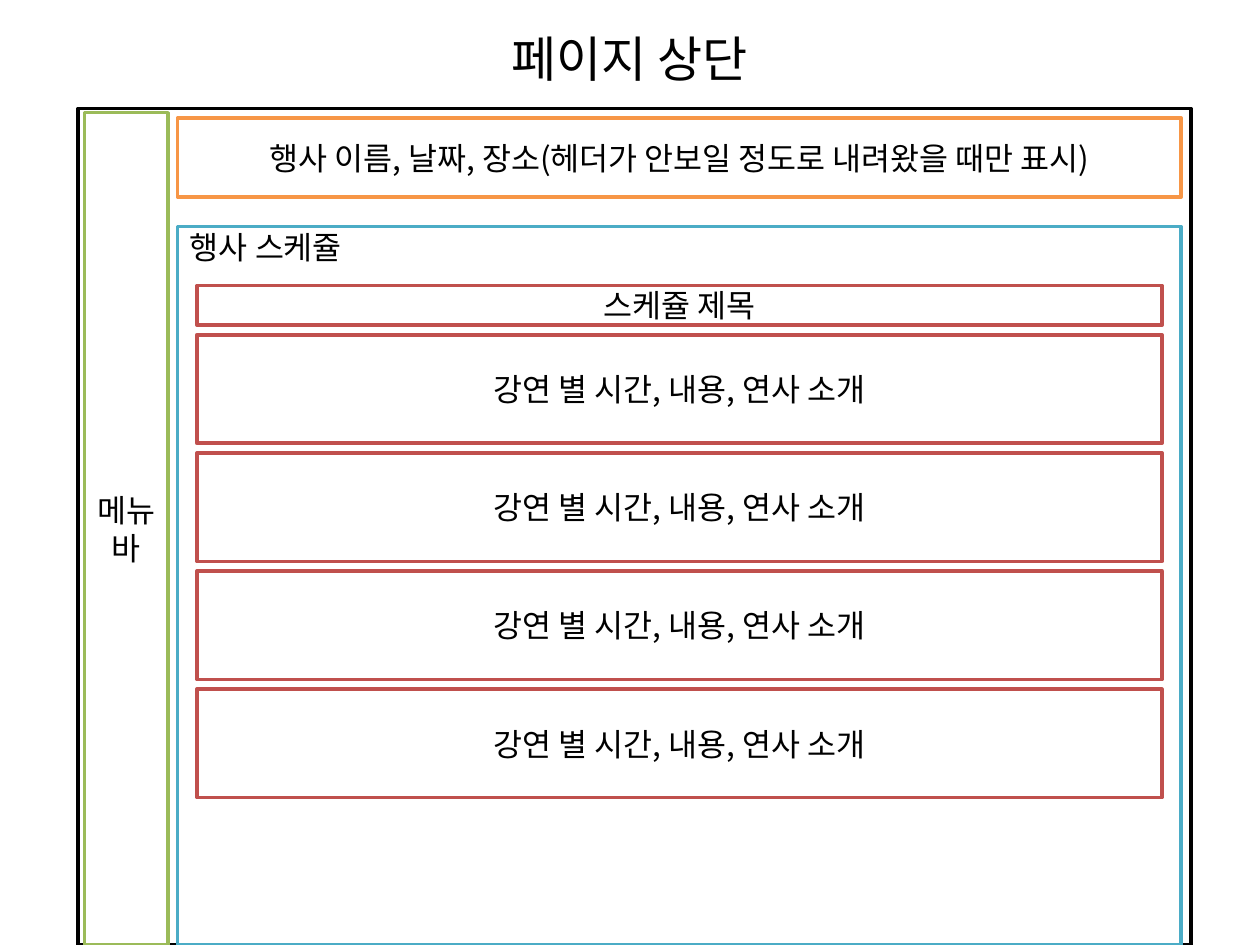
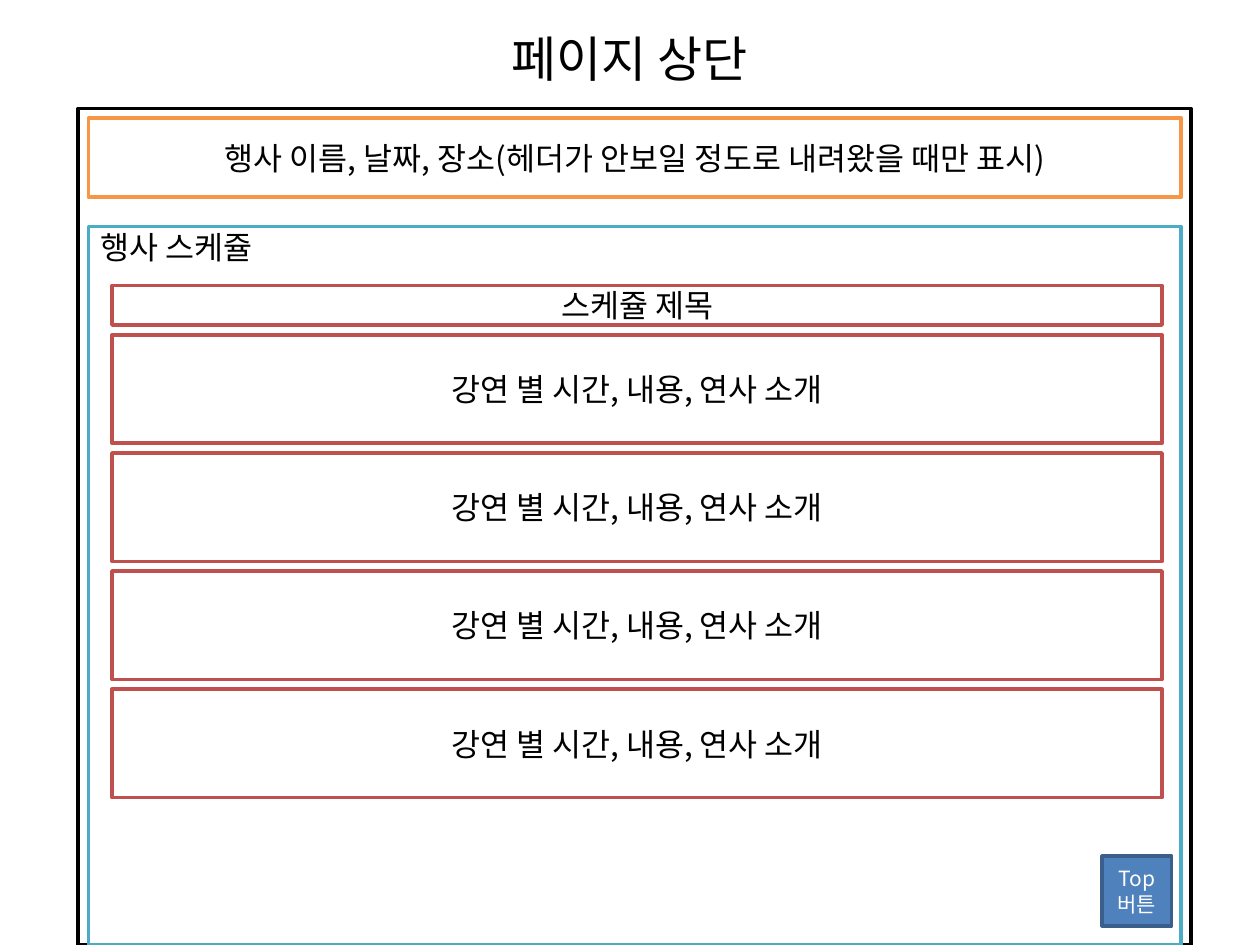
from dataclasses import dataclass

from pptx import Presentation
from pptx.dml.color import RGBColor
from pptx.enum import shapes, text
from pptx.oxml.ns import qn
from pptx.util import Pt


@dataclass(frozen=True)
class Theme:
    font: str = "Noto Sans CJK KR"
    black: str = "000000"
    white: str = "FFFFFF"
    green: str = "9BBB59"
    teal: str = "4BACC6"
    red: str = "C0504D"
    orange: str = "F79646"
    blue: str = "4F81BD"
    dark_blue: str = "3A5F8C"
    title_size: int = 28
    body_size: int = 18
    button_size: int = 12
    line_width: int = 2
    line_spacing: float = 1.2


theme = Theme()


def write(shape, words, size=theme.body_size, color=theme.black,
          align=text.PP_ALIGN.CENTER, anchor=text.MSO_ANCHOR.MIDDLE):
    frame = shape.text_frame
    frame.text = words
    frame.word_wrap = True
    frame.auto_size = text.MSO_AUTO_SIZE.NONE
    frame.vertical_anchor = anchor
    paragraph = frame.paragraphs[0]
    paragraph.alignment = align
    paragraph.line_spacing = Pt(size * theme.line_spacing)
    paragraph.font.size = Pt(size)
    paragraph.font.name = theme.font
    paragraph.font.color.rgb = RGBColor.from_string(color)
    # Hangul takes its typeface from the East Asian font of each run
    for run in paragraph.runs:
        properties = run._r.get_or_add_rPr()
        east_asian = properties.makeelement(qn("a:ea"), {"typeface": theme.font})
        properties.append(east_asian)


def add_box(slide, left, top, width, height, line, fill=theme.white):
    box = slide.shapes.add_shape(shapes.MSO_SHAPE.RECTANGLE,
                                 Pt(left), Pt(top), Pt(width), Pt(height))
    box.shadow.inherit = False
    if fill:
        box.fill.solid()
        box.fill.fore_color.rgb = RGBColor.from_string(fill)
    else:
        box.fill.background()
    box.line.color.rgb = RGBColor.from_string(line)
    box.line.width = Pt(theme.line_width)
    return box


presentation = Presentation()
presentation.slide_width = Pt(720)
presentation.slide_height = Pt(540)
title_only = presentation.slide_layouts[5]

page_bottom = 540
panel_right = 675
row_right = 664
talk_top, talk_height, talk_pitch = 191.3, 62, 67.5
talk_count = 4

# Left edges of the panels and of the schedule rows, and which extra part shows
variants = [
    {"panel_left": 101.5, "row_left": 112.5, "menu": True},
    {"panel_left": 50.5, "row_left": 64, "menu": False},
]

for variant in variants:
    slide = presentation.slides.add_slide(title_only)
    title = slide.shapes.title
    title.left, title.top, title.width, title.height = Pt(36), Pt(21.6), Pt(648), Pt(23)
    write(title, "페이지 상단", theme.title_size)

    add_box(slide, 44.7, 62, 635.8, page_bottom - 62, theme.black, fill=None)

    if variant["menu"]:
        menu_bar = add_box(slide, 48.2, 64.4, 47.7, page_bottom - 64.4, theme.green)
        write(menu_bar, "메뉴바")

    panel_left = variant["panel_left"]
    panel_width = panel_right - panel_left
    schedule = add_box(slide, panel_left, 129.5, panel_width, page_bottom - 129.5, theme.teal)
    write(schedule, "행사 스케쥴", align=text.PP_ALIGN.LEFT, anchor=text.MSO_ANCHOR.TOP)
    schedule.text_frame.margin_top = Pt(1)

    row_left = variant["row_left"]
    row_width = row_right - row_left
    schedule_title = add_box(slide, row_left, 163.2, row_width, 22.6, theme.red)
    write(schedule_title, "스케쥴 제목")
    for index in range(talk_count):
        talk = add_box(slide, row_left, talk_top + index * talk_pitch,
                       row_width, talk_height, theme.red)
        write(talk, "강연 별 시간, 내용, 연사 소개")

    event_header = add_box(slide, panel_left, 67.5, panel_width, 45.2, theme.orange)
    write(event_header, "행사 이름, 날짜, 장소(헤더가 안보일 정도로 내려왔을 때만 표시)")

    if not variant["menu"]:
        top_button = add_box(slide, 629.8, 489.3, 39.8, 39.8, theme.dark_blue, theme.blue)
        write(top_button, "Top버튼", theme.button_size, theme.white)

presentation.save("out.pptx")
